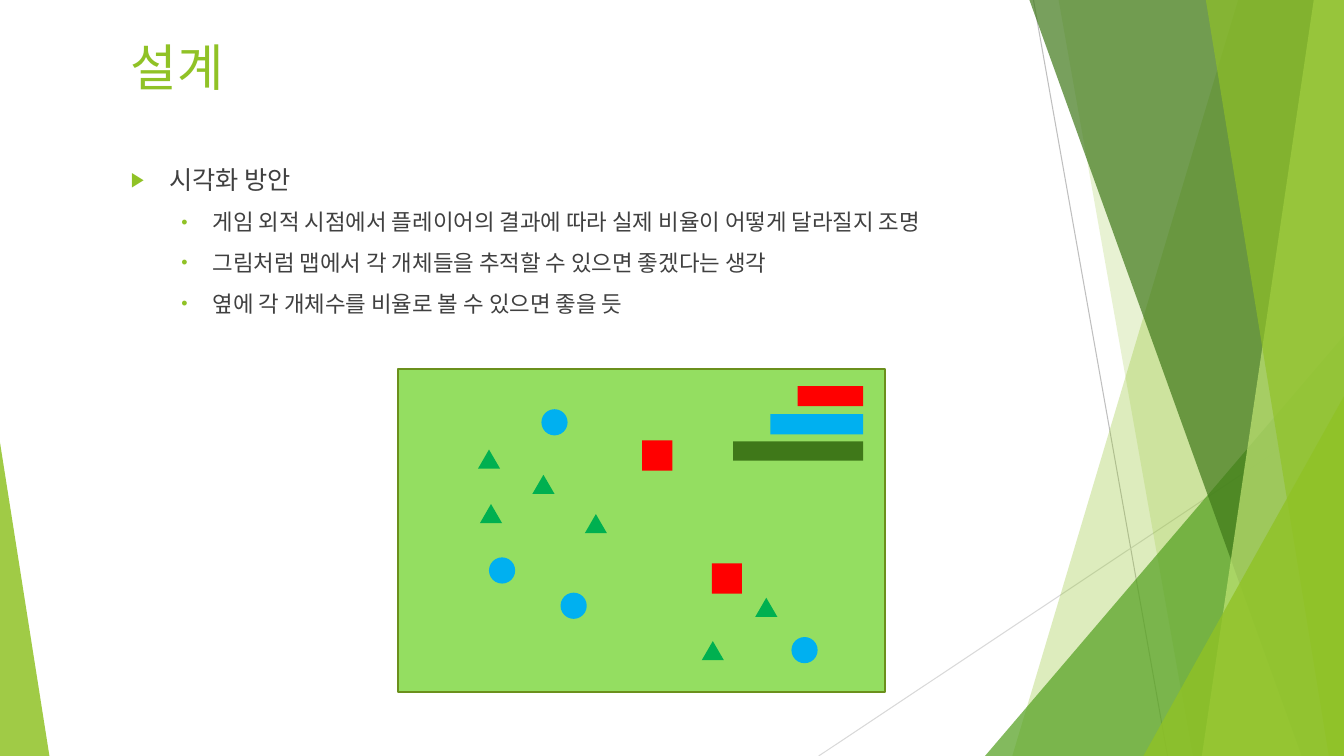
from lxml import etree
from pptx import Presentation
from pptx import util as u
from pptx.dml.color import RGBColor
from pptx.enum import shapes, text
from pptx.oxml.ns import qn

# Content: lengths in inches, colours as hex
WIDTH, HEIGHT = 13.33, 7.5
LIME, GREEN, DARK, PALE = "90C226", "54A021", "3F7819", "C0E474"
RED, BLUE, TREE, INK = "FF0000", "00B0F0", "00B050", "404040"

TITLE = "설계"
BULLETS = [
    (0, "시각화 방안"),
    (1, "게임 외적 시점에서 플레이어의 결과에 따라 실제 비율이 어떻게 달라질지 조명"),
    (1, "그림처럼 맵에서 각 개체들을 추적할 수 있으면 좋겠다는 생각"),
    (1, "옆에 각 개체수를 비율로 볼 수 있으면 좋을 듯"),
]
LEVELS = [  # character, size, left margin, indent
    ("▶", 18, 0.38, -0.38),
    ("•", 16, 0.81, -0.31),
]

THIN_LINES = [((10.25, 0), (11.58, HEIGHT), "BFBFBF"),
              ((WIDTH, 4.03), (8.12, HEIGHT), "D9D9D9")]
# Bands reach the right edge: ("band", top x, bottom x, colour, opacity)
# Wedges stand on the bottom edge: ("wedge", left, width, height, apex, colour, opacity)
FACETS = [
    ("band", 12.28, 10.04, LIME, 30),
    ("band", 10.5, 11.83, LIME, 20),
    ("wedge", 9.77, 3.56, 4.17, 1, GREEN, 72),
    ("band", 10.21, 12.91, DARK, 70),
    ("band", 13.03, 11.92, PALE, 70),
    ("band", 11.96, 13.18, LIME, 65),
    ("wedge", 11.34, 1.99, 3.57, 1, LIME, 80),
    ("wedge", 0, 0.49, 3.11, 0, LIME, 85),
]

MAP = (3.95, 3.66, 4.83, 3.21)
BARS_RIGHT = 8.56
BARS = [(3.83, 0.65, 0.2, RED), (4.11, 0.92, 0.2, BLUE), (4.38, 1.29, 0.19, DARK)]
CREATURES = [  # preset, width, height, colour, places
    ("OVAL", 0.26, 0.26, BLUE, [(4.85, 5.53), (5.56, 5.88), (5.37, 4.06), (7.85, 6.32)]),
    ("RECTANGLE", 0.3, 0.3, RED, [(7.06, 5.59), (6.37, 4.37)]),
    ("ISOSCELES_TRIANGLE", 0.22, 0.19, TREE,
     [(4.74, 4.46), (5.28, 4.71), (4.76, 5), (7.49, 5.93), (6.96, 6.36), (5.8, 5.1)]),
]


# Helpers
def length(inches):
    return u.Cm(inches * 2.54)


def colour(hex_value):
    return RGBColor.from_string(hex_value)


def paint(shape, fill, opacity=100, line=None):
    shape.shadow.inherit = False
    shape.fill.solid()
    shape.fill.fore_color.rgb = colour(fill)
    if opacity < 100:
        tint = shape.fill._xPr.find(qn("a:solidFill"))[0]
        etree.SubElement(tint, qn("a:alpha"), val=str(opacity * 1000))
    if line:
        shape.line.color.rgb = colour(line)
        shape.line.width = u.Pt(1.5)
    else:
        shape.line.fill.background()


def add_preset(preset, box, fill, **style):
    kind = getattr(shapes.MSO_SHAPE, preset)
    shape = slide.shapes.add_shape(kind, *map(length, box))
    paint(shape, fill, **style)
    return shape


def add_band(top_x, bottom_x, fill, opacity):
    corners = [(top_x, 0), (WIDTH, 0), (WIDTH, HEIGHT), (bottom_x, HEIGHT)]
    start, *others = [(length(x), length(y)) for x, y in corners]
    builder = slide.shapes.build_freeform(*start)
    builder.add_line_segments(others, close=True)
    paint(builder.convert_to_shape(), fill, opacity)


def add_wedge(left, width, height, apex, fill, opacity):
    box = (left, HEIGHT - height, width, height)
    add_preset("ISOSCELES_TRIANGLE", box, fill, opacity=opacity).adjustments[0] = apex


def add_text_frame(*box):
    frame = slide.shapes.add_textbox(*map(length, box)).text_frame
    frame.word_wrap = True
    frame.vertical_anchor = text.MSO_ANCHOR.TOP
    return frame


def write(paragraph, words, fill, **format_values):
    run = paragraph.add_run()
    run.text = words
    for name, value in format_values.items():
        setattr(run.font, name, value)
    run.font.color.rgb = colour(fill)


def add_bullet(paragraph, character, margin, indent):
    properties = paragraph._p.get_or_add_pPr()
    properties.set("marL", str(length(margin)))
    properties.set("indent", str(length(indent)))
    tint = etree.SubElement(properties, qn("a:buClr"))
    etree.SubElement(tint, qn("a:srgbClr"), val=LIME)
    etree.SubElement(properties, qn("a:buSzPct"), val="80000")
    etree.SubElement(properties, qn("a:buFont"), typeface="Arial")
    etree.SubElement(properties, qn("a:buChar"), char=character)


presentation = Presentation()
presentation.slide_width, presentation.slide_height = length(WIDTH), length(HEIGHT)
slide = presentation.slides.add_slide(presentation.slide_layouts[6])

# Faceted background
for start, end, tint in THIN_LINES:
    line = slide.shapes.add_connector(shapes.MSO_CONNECTOR.STRAIGHT,
                                      *map(length, start + end))
    line.line.color.rgb = colour(tint)
    line.line.width = u.Pt(0.75)
    etree.SubElement(line._element.spPr, qn("a:effectLst"))
for kind, *values in FACETS:
    (add_band if kind == "band" else add_wedge)(*values)

# Title and bullets
title = add_text_frame(1.2, 0.31, 11, 1.14)
write(title.paragraphs[0], TITLE, LIME, name="Karla", size=u.Pt(36))
body = add_text_frame(1.2, 1.58, 11, 1.8)
for index, (level, words) in enumerate(BULLETS):
    paragraph = body.add_paragraph() if index else body.paragraphs[0]
    character, size, margin, indent = LEVELS[level]
    add_bullet(paragraph, character, margin, indent)
    paragraph.level = level
    paragraph.space_before = u.Pt(10 if index else 0)
    write(paragraph, words, INK, name="Arial", size=u.Pt(size))

# Map with population bars and creatures
add_preset("RECTANGLE", MAP, "94DE61", line="6B901C")
for top, width, height, fill in BARS:
    add_preset("RECTANGLE", (BARS_RIGHT - width, top, width, height), fill)
for preset, width, height, fill, places in CREATURES:
    for left, top in places:
        add_preset(preset, (left, top, width, height), fill)

presentation.save("out.pptx")
